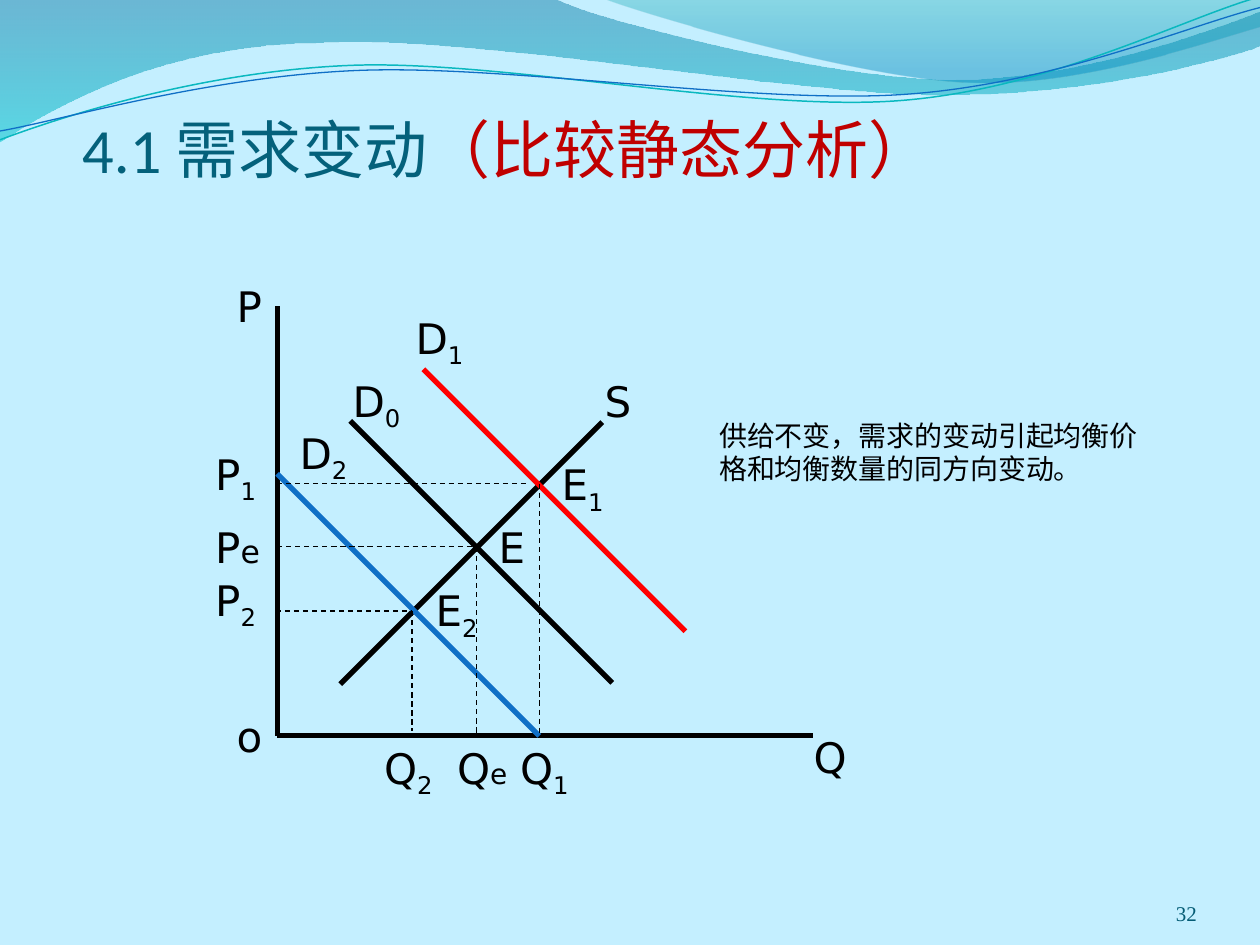
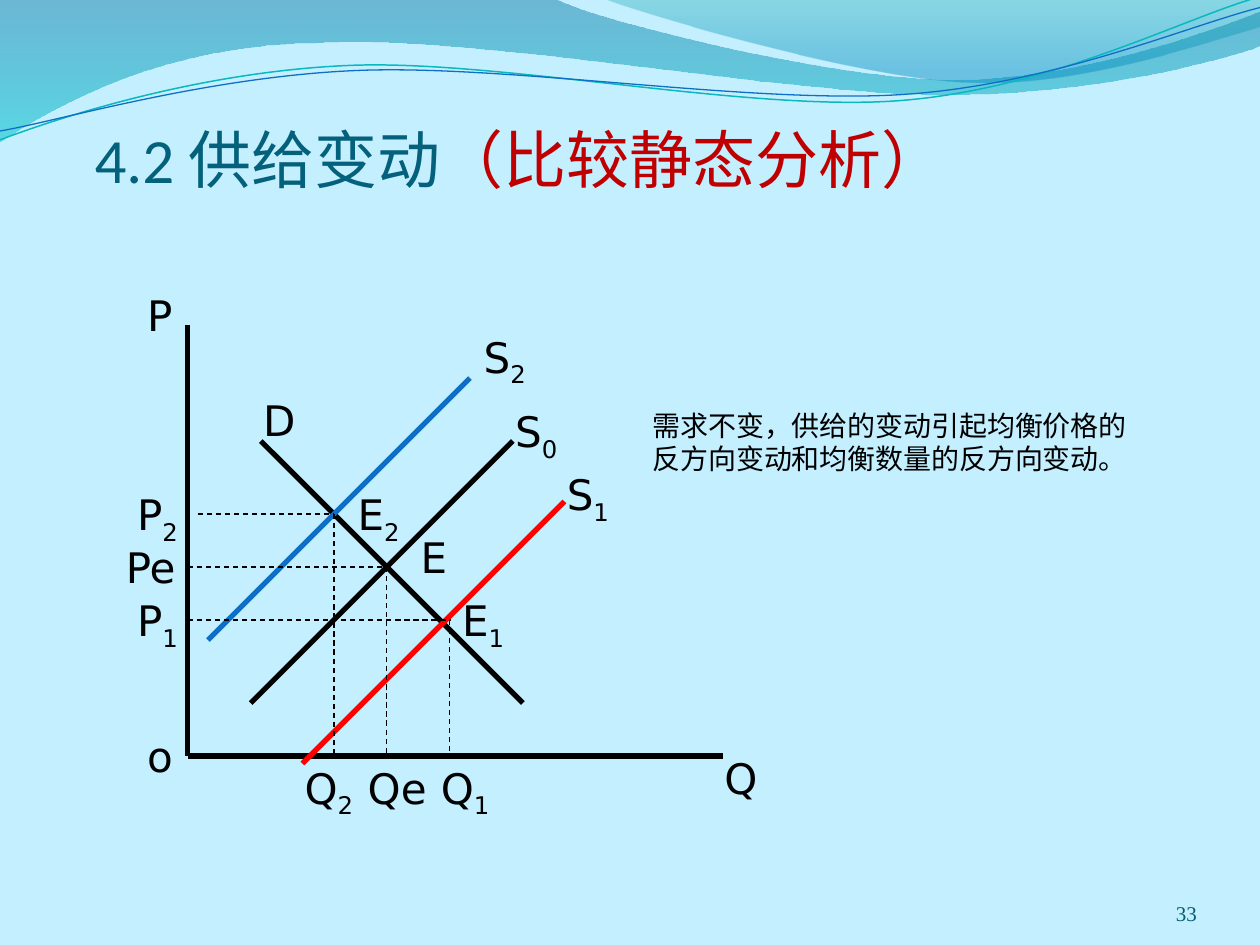
from pptx import Presentation
from pptx.dml.color import RGBColor as RGB
from pptx.enum.dml import MSO_LINE as Dash
from pptx.enum.shapes import MSO_CONNECTOR as Conn
from pptx.enum.text import MSO_ANCHOR as Anchor, MSO_AUTO_SIZE as Auto, PP_ALIGN as Align
from pptx.oxml.ns import qn
from pptx.util import Inches, Pt
from lxml.etree import SubElement as Sub

SKY = RGB(0xC4, 0xEF, 0xFF)
TEAL = RGB(0x04, 0x61, 0x7B)
CRIMSON = RGB(0xC0, 0x00, 0x00)
NAVY = RGB(0x04, 0x5C, 0x75)
BLACK = RGB(0x00, 0x00, 0x00)
RED = RGB(0xFF, 0x00, 0x00)
BLUE = RGB(0x0F, 0x6F, 0xC6)
AQUA = RGB(0x0A, 0xB8, 0xBF)

SANS, SERIF, HEAD = "DejaVu Sans", "Times New Roman", "Calibri"
RUN = 2.08      # every curve spans this much across and up or down
WIDE = 4.25     # length of the quantity axis

# Wave bands: a pair is a straight piece, six numbers are a cubic curve.
BANDS = [
    {"path": [(0, -0.01), (4.4, -0.01), (4.76, 0.17, 6.64, 0.63, 7.58, 0.63),
              (8.53, 0.63, 9.58, 0.26, 10, 0.09), (10.01, 0.36),
              (9.83, 0.44, 8.7, 0.76, 7.46, 0.75), (6.22, 0.75, 3.82, 0.28, 2.57, 0.34),
              (1.29, 0.35, 0.46, 0.83, -0.01, 1.13), (0, -0.01)],
     "stops": [(0, RGB(0x00, 0x74, 0xA1), 45), (1, RGB(0x00, 0xC6, 0xCF), 55)]},
    {"path": [(4.79, -0.01), (5.09, 0.11, 6.82, 0.62, 7.69, 0.65),
              (8.56, 0.69, 9.61, 0.32, 10, 0.21), (10, 0), (4.79, -0.01)],
     "stops": [(0, RGB(0x00, 0xA1, 0xA9), 30), (0.8, RGB(0x00, 0x8B, 0xBF), 45)]},
    {"path": [(0, 1.11), (0.48, 0.93, 1.58, 0.57, 2.77, 0.52),
              (3.95, 0.47, 5.93, 0.89, 7.13, 0.8), (8.33, 0.71, 9.38, 0.15, 9.98, -0.02)],
     "line": (AQUA, 0.85)},
    {"path": [(0, 1.04), (0.47, 0.96, 1.64, 0.61, 2.83, 0.56),
              (4.03, 0.51, 5.97, 0.83, 7.17, 0.75), (8.36, 0.67, 9.41, 0.21, 10, 0.06)],
     "line": (BLUE, 0.75)},
]

# curves: start x, start y, direction (1 falls, -1 rises), colour
# points: x, y of an equilibrium, then left and right end and foot of its guides
# labels: text, x, y, width and, if smaller, the size of the final letter
SLIDES = [
    {"num": "32", "head": "4.1 需求变动", "at": (0.65, 0.82),
     "axes": (2.2, 2.43, 5.84),
     "curves": [(2.78, 3.34, 1, BLACK), (2.7, 5.43, -1, BLACK),
                (3.36, 2.93, 1, RED), (2.2, 3.76, 1, BLUE)],
     "points": [(3.78, 4.34, 2.2, 3.78, 5.84), (4.28, 3.84, 2.2, 4.2, 5.84),
                (3.27, 4.85, 2.19, 3.27, 5.8)],
     "labels": [("P", 1.78, 2.18, 0.58), ("S", 4.7, 2.93, 0.58),
                ("D0", 2.7, 2.93, 1), ("D1", 3.2, 2.43, 1), ("D2", 2.28, 3.34, 1),
                ("E", 3.86, 4.09, 0.42), ("E1", 4.36, 3.59, 1), ("E2", 3.36, 4.59, 1),
                ("Pe", 1.61, 4.09, 0.92, 18), ("P1", 1.61, 3.51, 1), ("P2", 1.61, 4.51, 1),
                ("Qe", 3.53, 5.84, 0.67, 16), ("Q1", 4.03, 5.84, 0.67),
                ("Q2", 2.95, 5.84, 0.67)],
     "note": ("供给不变，需求的变动引起均衡价格和均衡数量的同方向变动。", 5.61, 3.27, 3.54)},
    {"num": "33", "head": "4.2 供给变动", "at": (0.75, 0.9),
     "axes": (1.49, 2.58, 6),
     "curves": [(2.07, 3.5, 1, BLACK), (1.99, 5.58, -1, BLACK),
                (2.4, 6.06, -1, RED), (1.65, 5.08, -1, BLUE)],
     "points": [(3.07, 4.5, 1.49, 3.07, 6), (3.57, 4.92, 1.49, 3.57, 6),
                (2.65, 4.08, 1.57, 2.65, 6)],
     "labels": [("P", 1.07, 2.25, 0.58), ("D", 1.99, 3.08, 0.58),
                ("S0", 3.99, 3.17, 1), ("S1", 4.4, 3.67, 1), ("S2", 3.74, 2.58, 1),
                ("E", 3.24, 4.17, 0.58), ("E1", 3.57, 4.67, 1), ("E2", 2.74, 3.83, 1),
                ("Pe", 0.9, 4.25, 0.92), ("P1", 0.99, 4.67, 1), ("P2", 0.99, 3.83, 1),
                ("Qe", 2.82, 6, 0.92), ("Q1", 3.4, 6, 1), ("Q2", 2.32, 6, 1)],
     "note": ("需求不变，供给的变动引起均衡价格的反方向变动和均衡数量的反方向变动。",
              5.08, 3.19, 4.15)},
]


def draw_wave(slide, path):
    """Lay down every node, then join each three nodes of a curve into one cubic."""
    dots = [(Inches(seg[i]), Inches(seg[i + 1])) for seg in path for i in range(0, len(seg), 2)]
    pen = slide.shapes.build_freeform(*dots[0])
    pen.add_line_segments(dots[1:], close=False)
    wave = pen.convert_to_shape()
    steps = iter(list(wave._element.iter(qn("a:lnTo"))))
    for seg in path[1:]:
        step = next(steps)
        if len(seg) == 6:
            step.tag = qn("a:cubicBezTo")
            for _ in range(2):
                node = next(steps)
                step.append(node[0])
                node.getparent().remove(node)
    return wave


def add_band(slide, band):
    wave = draw_wave(slide, band["path"])
    wave.shadow.inherit = False
    if "line" in band:
        wave.fill.background()
        wave.line.color.rgb, wave.line.width = band["line"][0], Pt(band["line"][1])
    else:
        wave.line.fill.background()
        wave.fill.gradient()
        wave.fill.gradient_angle = 270
        for stop, (pos, color, _) in zip(wave.fill.gradient_stops, band["stops"]):
            stop.position, stop.color.rgb = pos, color
        for tint, (_, _, alpha) in zip(wave._element.iter(qn("a:srgbClr")), band["stops"]):
            Sub(tint, qn("a:alpha")).set("val", str(alpha * 1000))
    return wave


def add_line(slide, x1, y1, x2, y2, color=BLACK, width=3, dash=None):
    line = slide.shapes.add_connector(Conn.STRAIGHT, *map(Inches, (x1, y1, x2, y2)))
    line.line.color.rgb, line.line.width = color, Pt(width)
    if dash:
        line.line.dash_style = dash
    Sub(line._element.spPr, qn("a:effectLst"))


def style(run, font, size, color=BLACK):
    run.font.name, run.font.size, run.font.color.rgb = font, Pt(size), color


def add_run(para, text, *look):
    run = para.add_run()
    run.text = text
    style(run, *look)
    return run


def add_box(slide, x, y, w, h):
    box = slide.shapes.add_textbox(*map(Inches, (x, y, w, h)))
    frame = box.text_frame
    frame.word_wrap, frame.auto_size = True, Auto.SHAPE_TO_FIT_TEXT
    return frame


def add_label(slide, text, x, y, w, small=24):
    para = add_box(slide, x, y, w, 0.5).paragraphs[0]
    if text[-1].isdigit():
        add_run(para, text[0], SANS, 24)
        add_run(para, text[1], SANS, 24).font._element.set("baseline", "-25000")
    elif small < 24:
        add_run(para, text[0], SANS, 24)
        add_run(para, text[1], SANS, small)
    else:
        add_run(para, text, SANS, 24)


def set_edges(frame, top=0):
    frame.margin_left = frame.margin_right = frame.margin_bottom = 0
    frame.margin_top = Inches(top)
    frame.vertical_anchor, frame.auto_size = Anchor.BOTTOM, Auto.NONE


def add_title(slide, head, at):
    title = slide.shapes.title
    title.left, title.top, title.width, title.height = map(Inches, (*at, 8.5, 0.66))
    set_edges(title.text_frame, 0.05)
    para = title.text_frame.paragraphs[0]
    para.alignment = Align.LEFT
    add_run(para, head, HEAD, 36, TEAL)
    add_run(para, "（比较静态分析）", HEAD, 36, CRIMSON)


def add_number(slide, num):
    frame = add_box(slide, 8.67, 6.95, 0.83, 0.4)
    set_edges(frame)
    frame.text = num
    frame.paragraphs[0].alignment = Align.RIGHT
    style(frame.paragraphs[0].runs[0], SERIF, 12, NAVY)


def add_graph(slide, data):
    # Axes with their end labels
    left, top, base = data["axes"]
    add_line(slide, left, top, left, base)
    add_line(slide, left, base, left + WIDE, base)
    add_label(slide, "o", left - 0.42, base - 0.25, 0.58)
    add_label(slide, "Q", left + WIDE - 0.09, base - 0.08, 0.58)
    # Curves, guides and labels
    for x, y, way, color in data["curves"]:
        add_line(slide, x, y, x + RUN, y + way * RUN, color)
    for x, y, start, end, foot in data["points"]:
        add_line(slide, start, y, end, y, width=0.75, dash=Dash.DASH)
        add_line(slide, x, y, x, foot, width=0.75, dash=Dash.DASH)
    for label in data["labels"]:
        add_label(slide, *label)


def add_note(slide, text, x, y, w):
    frame = add_box(slide, x, y, w, 0.64)
    frame.text = text
    style(frame.paragraphs[0].runs[0], SERIF, 16)


def main():
    prs = Presentation()
    prs.slide_width, prs.slide_height = Inches(10), Inches(7.5)
    master = prs.slide_master
    back = master.background.fill
    back.solid()
    back.fore_color.rgb = SKY
    slides = [prs.slides.add_slide(prs.slide_layouts[5]) for _ in SLIDES]
    # The waves are shaped on a slide and then moved to the master
    for band in BANDS:
        master.shapes._spTree.append(add_band(slides[0], band)._element)
    for slide, data in zip(slides, SLIDES):
        add_title(slide, data["head"], data["at"])
        add_number(slide, data["num"])
        add_graph(slide, data)
        add_note(slide, *data["note"])
    prs.save("out.pptx")


if __name__ == "__main__":
    main()
